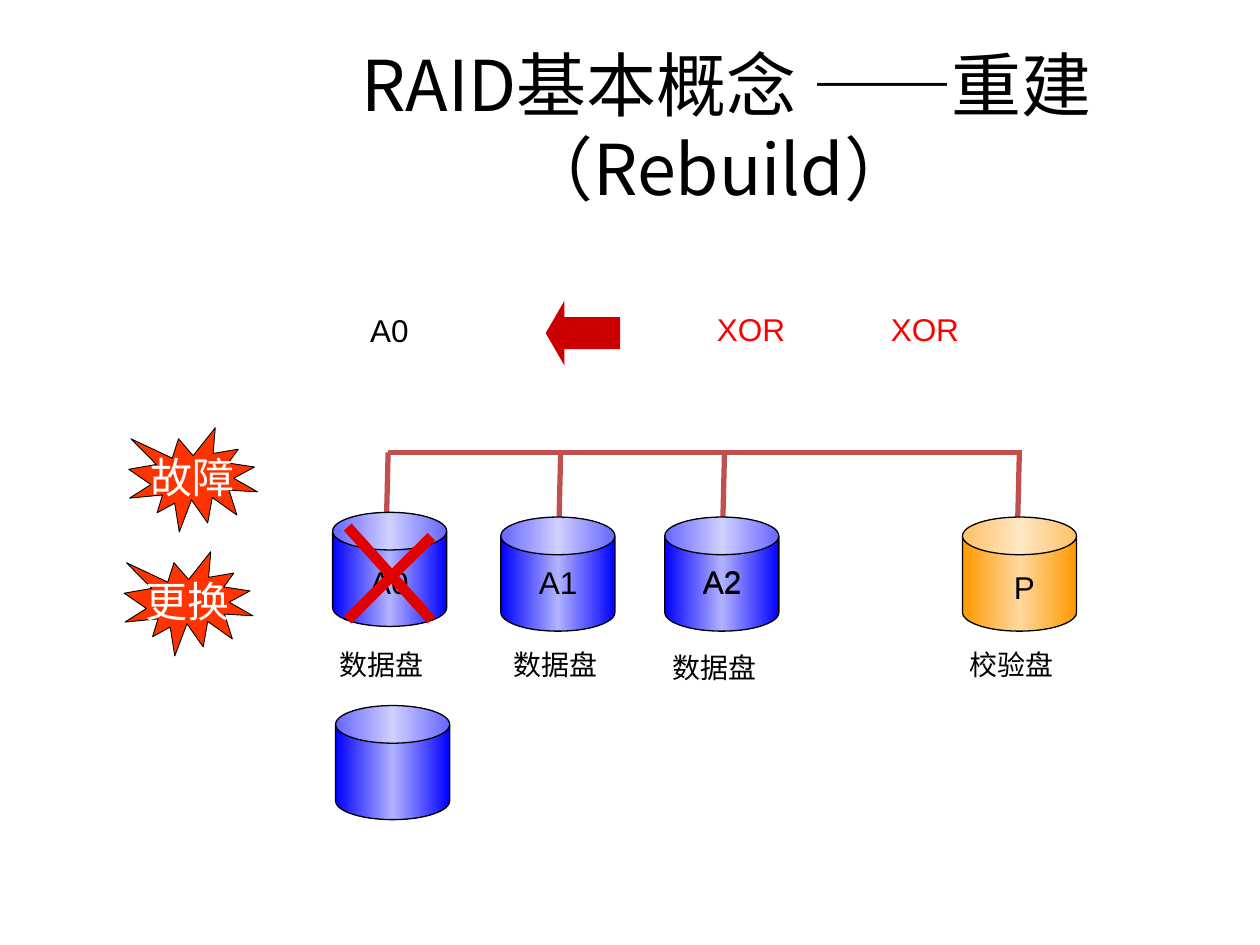
from copy import deepcopy

from lxml.etree import SubElement
from pptx import Presentation
from pptx.dml.color import RGBColor
from pptx.enum.shapes import MSO_CONNECTOR, MSO_SHAPE
from pptx.enum.text import MSO_ANCHOR, MSO_AUTO_SIZE, PP_ALIGN
from pptx.oxml.ns import qn
from pptx.util import Pt

COLORS = {
    "black": "000000", "white": "FFFFFF", "red": "FF0000",
    "bus": "C0504D", "cross": "E00000", "arrow": "CC0000", "burst": "FF3300",
    "data": "0000FF", "data light": "B2B2FF",
    "parity": "FF9900", "parity light": "FFD89E",
}
CJK_FONT = "Noto Sans CJK SC"
CAN_SIZE = 65.2
BUS_Y = 258.5

deck = Presentation()
deck.slide_width, deck.slide_height = Pt(720), Pt(540)
page = deck.slides.add_slide(deck.slide_layouts[5])
shapes = page.shapes


def add_line(x1, y1, x2, y2, color, width):
    line = shapes.add_connector(MSO_CONNECTOR.STRAIGHT, Pt(x1), Pt(y1), Pt(x2), Pt(y2))
    line.line.color.rgb = RGBColor.from_string(COLORS[color])
    line.line.width = Pt(width)
    SubElement(line._element.spPr, qn("a:effectLst"))


def write(shape, text, size, color):
    frame = shape.text_frame
    frame.word_wrap = False
    para = frame.paragraphs[0]
    para.text = text
    para.alignment = PP_ALIGN.CENTER
    para.font.name = "Arial"
    para.font.size = Pt(size)
    para.font.color.rgb = RGBColor.from_string(COLORS[color])


# Title
title = shapes.title
title.left, title.top, title.width, title.height = Pt(110.4), Pt(49), Pt(609.6), Pt(45.4)
frame = title.text_frame
frame.auto_size = MSO_AUTO_SIZE.NONE
frame.word_wrap = True
frame.vertical_anchor = MSO_ANCHOR.MIDDLE
para = frame.paragraphs[0]
para.alignment = PP_ALIGN.CENTER
para.font.size = Pt(40)
para.font.color.rgb = RGBColor.from_string(COLORS["black"])
for text, font in [("RAID基本概念 ", CJK_FONT), ("——", "Calibri"), ("重建（Rebuild） ", CJK_FONT)]:
    span = para.add_run()
    span.text = text
    span.font.name = font
    SubElement(span.font._element, qn("a:ea"), typeface=CJK_FONT)

# Bus with a drop to each disk
add_line(221.8, BUS_Y, 583.9, BUS_Y, "bus", 3)
for x in (221.8, 320.4, 414, 582.5):
    add_line(x, BUS_Y, x - 0.9, 295.9, "bus", 3)

# Disks: the array, then the replacement
for left, top, kind in [
    (190.1, 292.8, "data"), (286.2, 295.5, "data"), (379.9, 295.5, "data"),
    (550, 295.5, "parity"), (191.8, 403.2, "data"),
]:
    disk = shapes.add_shape(MSO_SHAPE.CAN, Pt(left), Pt(top), Pt(CAN_SIZE), Pt(CAN_SIZE))
    disk.adjustments[0] = 0.33
    disk.shadow.inherit = False
    disk.line.color.rgb = RGBColor.from_string(COLORS["black"])
    disk.line.width = Pt(0.75)
    disk.fill.gradient()
    disk.fill.gradient_angle = 0
    for stop, color, position in zip(disk.fill.gradient_stops, (kind, kind + " light"), (0, 0.5)):
        stop.color.rgb = RGBColor.from_string(COLORS[color])
        stop.position = position
    stop_list = disk._element.spPr.find(".//" + qn("a:gsLst"))
    last_stop = deepcopy(stop_list[0])
    last_stop.set("pos", "100000")
    stop_list.append(last_stop)

# Labels by centre: block names, operators and disk roles
for text, center, top, width, height, size, color in [
    ("A0", 222.5, 318.2, 37, 28.8, 18, "black"),
    ("A1", 319, 318.2, 37, 28.8, 18, "black"),
    ("A2", 412.6, 318.2, 37, 28.8, 18, "black"),
    ("A2", 412.6, 317.5, 37, 28.8, 18, "black"),
    ("P", 585.4, 321.1, 27, 28.8, 18, "black"),
    ("A0", 222.5, 174.4, 37, 28.8, 18, "black"),
    ("XOR", 429.1, 173.5, 54, 28.8, 18, "red"),
    ("XOR", 528.5, 173.5, 54, 28.8, 18, "red"),
    ("数据盘", 218.2, 366.5, 63, 26.6, 16, "black"),
    ("数据盘", 317.3, 366.5, 63, 26.6, 16, "black"),
    ("数据盘", 408.2, 368.2, 63, 26.6, 16, "black"),
    ("校验盘", 578.2, 366.5, 63, 26.6, 16, "black"),
]:
    box = shapes.add_textbox(Pt(center - width / 2), Pt(top), Pt(width), Pt(height))
    write(box, text, size, color)
    box.text_frame.auto_size = MSO_AUTO_SIZE.SHAPE_TO_FIT_TEXT

# Cross over the failed disk
add_line(246.5, 306.7, 198.7, 354.2, "cross", 6)
add_line(198.7, 301.2, 246.5, 354.2, "cross", 6)

# Arrow to the rebuilt block
arrow = shapes.add_shape(MSO_SHAPE.LEFT_ARROW, Pt(311.8), Pt(172), Pt(42.5), Pt(36.7))
arrow.adjustments[1] = 0.29
arrow.shadow.inherit = False
arrow.fill.solid()
arrow.fill.fore_color.rgb = RGBColor.from_string(COLORS["arrow"])
arrow.line.fill.background()

# Bursts: failure and replacement
for text, left, top in [("故障", 73.6, 244.4), ("更换", 71, 315.2)]:
    burst = shapes.add_shape(MSO_SHAPE.EXPLOSION1, Pt(left), Pt(top), Pt(73.6), Pt(59.6))
    burst.shadow.inherit = False
    burst.fill.solid()
    burst.fill.fore_color.rgb = RGBColor.from_string(COLORS["burst"])
    burst.line.color.rgb = RGBColor.from_string(COLORS["black"])
    burst.line.width = Pt(0.5)
    write(burst, text, 24, "white")
    burst.text_frame.vertical_anchor = MSO_ANCHOR.MIDDLE

deck.save("out.pptx")
